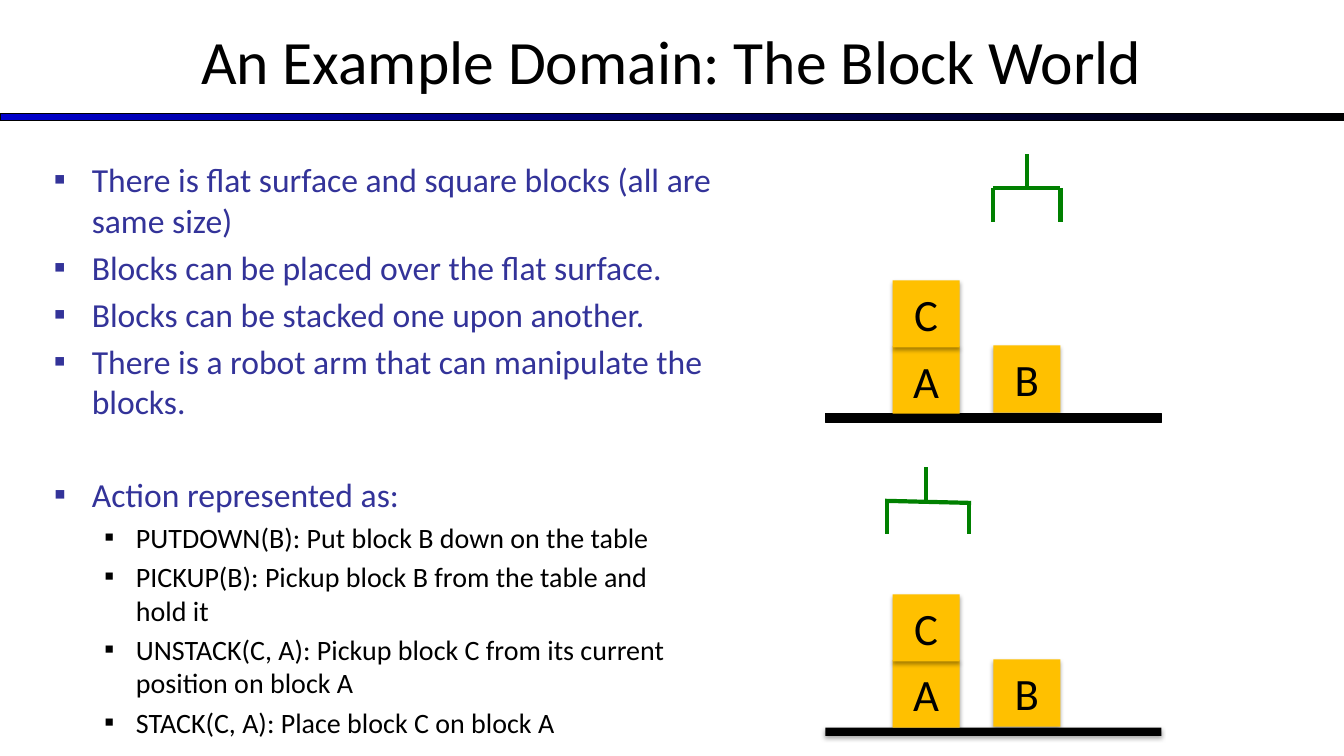
"""Build the Block World slide."""
from lxml.etree import SubElement
from pptx import Presentation
from pptx.dml.color import RGBColor
from pptx.enum.shapes import MSO_CONNECTOR, MSO_SHAPE
from pptx.enum.text import MSO_ANCHOR, MSO_AUTO_SIZE, PP_ALIGN
from pptx.oxml.ns import qn
from pptx.util import Pt

TITLE = "An Example Domain: The Block World"
BULLET_BOXES = [
    ((42, 147, 685, 271), [
        (0, "There is flat surface and square blocks (all are same size)"),
        (0, "Blocks can be placed over the flat surface."),
        (0, "Blocks can be stacked one upon another."),
        (0, "There is a robot arm that can manipulate the blocks."),
    ]),
    ((42, 447, 609, 238), [
        (0, "Action represented as:"),
        (1, "PUTDOWN(B): Put block B down on the table"),
        (1, "PICKUP(B): Pickup block B from the table and hold it"),
        (1, "UNSTACK(C, A): Pickup block C from its current position on block A"),
        (1, "STACK(C, A): Place block C on block A"),
    ]),
]
BLUE = RGBColor(0x33, 0x33, 0x99)
BAR_BLUE = RGBColor(0x00, 0x00, 0xCC)
BLACK = RGBColor(0x00, 0x00, 0x00)
AMBER = RGBColor(0xFF, 0xC0, 0x00)
GREEN = RGBColor(0x00, 0x80, 0x00)
FONT = "Calibri"
LEVELS = [(24, BLUE, 36, 36), (20, BLACK, 78, 30)]

BLOCKS = [("A", 850, 183), ("B", 946, 182), ("C", 850, 120)]
BLOCK_SIZE = 64
TABLE = (786, 247, 320, 8)
UPPER_ARM = [(946, 32, 1010, 32), (946, 32, 946, 64),
             (978, 0, 978, 32), (1010, 32, 1010, 64)]
LOWER_ARM = [(843, 31, 925, 33), (845, 31, 845, 63),
             (882, -1, 882, 31), (923, 31, 923, 63)]
SCENES = [(147, UPPER_ARM, False), (446, LOWER_ARM, True)]
SCALE = 9525


def px(*lengths):
    """Turn pixel lengths into EMU."""
    return [length * SCALE for length in lengths]


def style_font(font, size, color):
    """Set the typeface, size and colour."""
    font.name, font.size, font.color.rgb = FONT, Pt(size), color


def add_rectangle(slide, box, color, shadow=False):
    """Add a filled rectangle without an outline."""
    shape = slide.shapes.add_shape(MSO_SHAPE.RECTANGLE, *px(*box))
    shape.shadow.inherit = False
    shape.fill.solid()
    shape.fill.fore_color.rgb = color
    shape.line.fill.background()
    if shadow:
        effects = shape.element.spPr.find(qn("a:effectLst"))
        outer = SubElement(effects, qn("a:outerShdw"), blurRad="40000",
                           dist="23000", dir="5400000", rotWithShape="0")
        shade = SubElement(outer, qn("a:srgbClr"), val=str(BLACK))
        SubElement(shade, qn("a:alpha"), val="35000")
    return shape


def outline(shape):
    """Give a shape a thin black outline."""
    shape.line.color.rgb = BLACK
    shape.line.width = Pt(0.75)


def add_title(slide):
    """Add the title and the gradient bar below it."""
    bar = add_rectangle(slide, (0, 108, 1280, 7), BLACK)
    bar.fill.gradient()
    bar.fill.gradient_angle = 0
    for stop, color, position in zip(bar.fill.gradient_stops, (BAR_BLUE, BLACK), (0, 1)):
        stop.color.rgb, stop.position = color, position
    outline(bar)
    title = slide.shapes.title
    title.left, title.top, title.width, title.height = px(0, -3, 1280, 120)
    frame = title.text_frame
    frame.text = TITLE
    frame.auto_size = MSO_AUTO_SIZE.NONE
    frame.vertical_anchor = MSO_ANCHOR.MIDDLE
    frame.paragraphs[0].alignment = PP_ALIGN.CENTER
    style_font(frame.paragraphs[0].runs[0].font, 44, BLACK)


def add_bullets(slide, box, items):
    """Add a text box of one or two bullet levels."""
    frame = slide.shapes.add_textbox(*px(*box)).text_frame
    frame.word_wrap = True
    for index, (level, text) in enumerate(items):
        size, color, margin, hanging = LEVELS[level]
        paragraph = frame.add_paragraph() if index else frame.paragraphs[0]
        paragraph.text = text
        paragraph.level = level
        properties = paragraph._p.get_or_add_pPr()
        properties.set("marL", str(margin * SCALE))
        properties.set("indent", str(-hanging * SCALE))
        bullet_color = SubElement(properties, qn("a:buClr"))
        SubElement(bullet_color, qn("a:srgbClr"), val=str(color))
        SubElement(properties, qn("a:buFont"), typeface=FONT)
        SubElement(properties, qn("a:buChar"), char="▪")
        if index:
            paragraph.space_before = Pt(size * 0.2)
        style_font(paragraph.runs[0].font, size, color)


def add_scene(slide, top, arm, table_shadow):
    """Add a table, its blocks and the robot arm."""
    left, offset, width, height = TABLE
    table = add_rectangle(slide, (left, top + offset, width, height), BLACK, table_shadow)
    if not table_shadow:
        outline(table)
    for letter, left, offset in BLOCKS:
        block = add_rectangle(slide, (left, top + offset, BLOCK_SIZE, BLOCK_SIZE), AMBER, True)
        frame = block.text_frame
        frame.text = letter
        frame.word_wrap = False
        frame.vertical_anchor = MSO_ANCHOR.MIDDLE
        frame.paragraphs[0].alignment = PP_ALIGN.CENTER
        style_font(frame.paragraphs[0].runs[0].font, 32, BLACK)
    for start_x, start_y, end_x, end_y in arm:
        line = slide.shapes.add_connector(
            MSO_CONNECTOR.STRAIGHT, *px(start_x, top + start_y, end_x, top + end_y))
        line.line.color.rgb = GREEN
        line.line.width = Pt(3)
        SubElement(line.element.spPr, qn("a:effectLst"))


def main():
    """Build and save the presentation."""
    presentation = Presentation()
    presentation.slide_width, presentation.slide_height = px(1280, 720)
    slide = presentation.slides.add_slide(presentation.slide_layouts[5])
    add_title(slide)
    for box, items in BULLET_BOXES:
        add_bullets(slide, box, items)
    for scene in SCENES:
        add_scene(slide, *scene)
    presentation.save("out.pptx")


if __name__ == "__main__":
    main()
